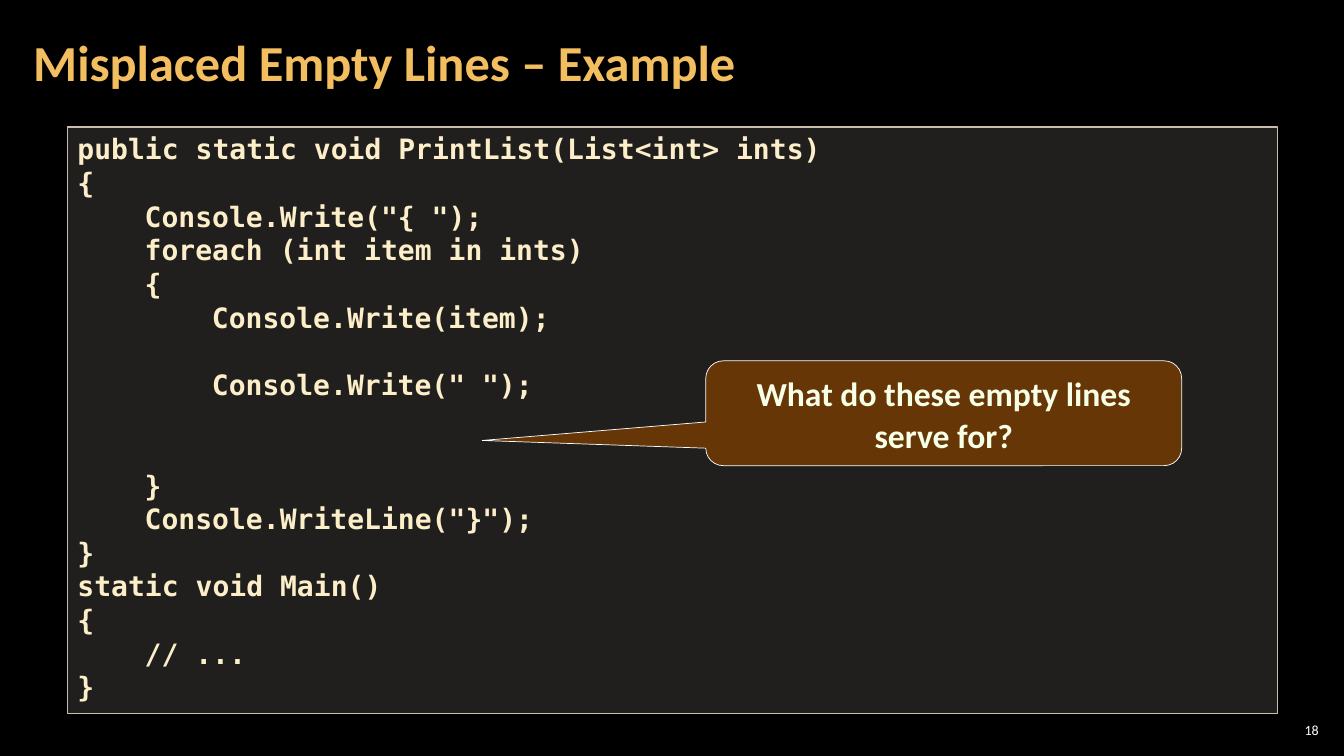
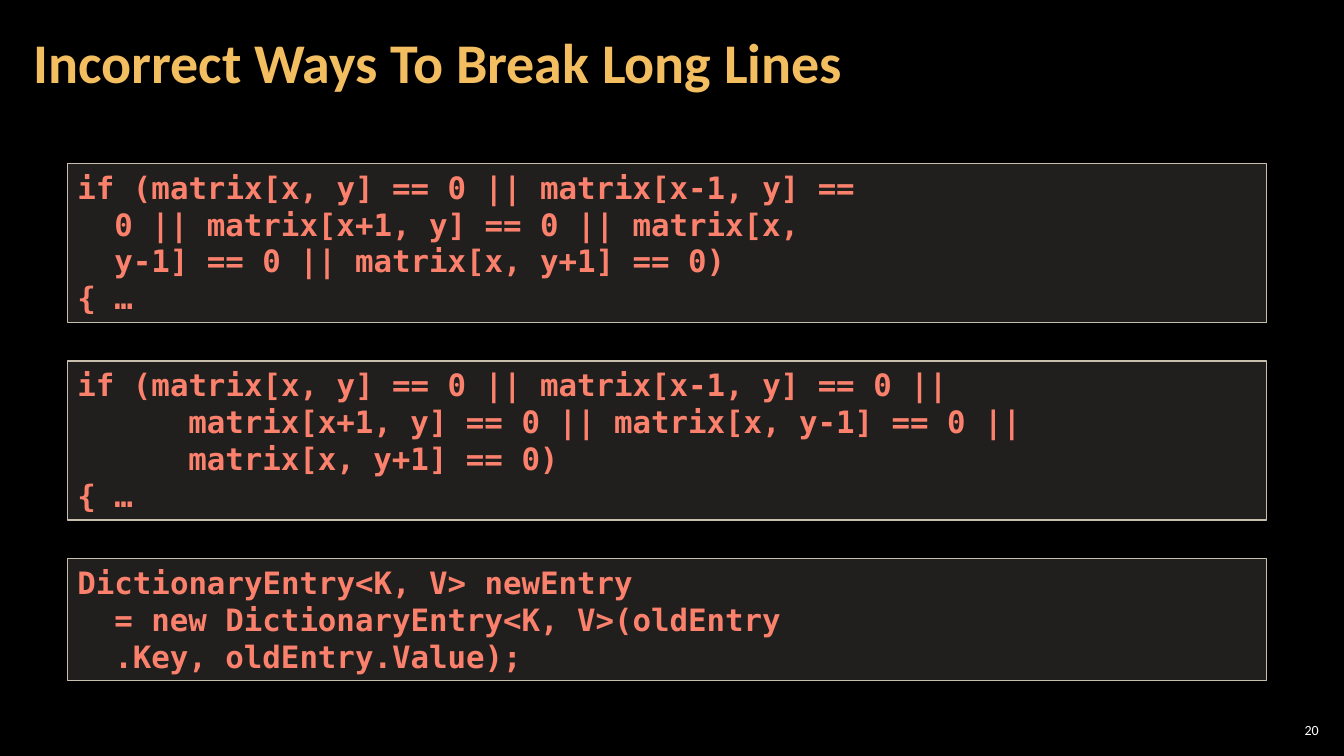
from lxml import etree
from pptx import Presentation
from pptx.dml.color import RGBColor
from pptx.enum.shapes import MSO_SHAPE
from pptx.enum.text import MSO_ANCHOR, PP_ALIGN
from pptx.oxml.ns import qn
from pptx.util import Inches, Pt

RECT = MSO_SHAPE.RECTANGLE
CALLOUT = MSO_SHAPE.ROUNDED_RECTANGULAR_CALLOUT
TOP, MIDDLE = MSO_ANCHOR.TOP, MSO_ANCHOR.MIDDLE
LEFT, CENTER, RIGHT = PP_ALIGN.LEFT, PP_ALIGN.CENTER, PP_ALIGN.RIGHT

COLORS = {
    "back": "000000",
    "title": "F3BE60",
    "white": "FFFFFF",
    "panel": "D9D5C7",
    "edge": "C7BFAC",
    "code": "FBEEC9",
    "wrong": "FB816D",
    "note": "663606",
    "notetext": "F7FFE7",
}
SANS, MONO = "Calibri", "DejaVu Sans Mono"
CHAR = 0.6  # width of a MONO letter, in ems
LINE = 1.2  # height of a MONO line, in ems

PRINT_LIST = """\
public static void PrintList(List<int> ints)
{
    Console.Write("{ ");
    foreach (int item in ints)
    {
        Console.Write(item);

        Console.Write(" ");


    }
    Console.WriteLine("}");
}
static void Main()
{
    // ...
}"""

BREAKS = [
    """\
if (matrix[x, y] == 0 || matrix[x-1, y] ==
  0 || matrix[x+1, y] == 0 || matrix[x,
  y-1] == 0 || matrix[x, y+1] == 0)
{ …""",
    """\
if (matrix[x, y] == 0 || matrix[x-1, y] == 0 ||
      matrix[x+1, y] == 0 || matrix[x, y-1] == 0 ||
      matrix[x, y+1] == 0)
{ …""",
    """\
DictionaryEntry<K, V> newEntry
  = new DictionaryEntry<K, V>(oldEntry
  .Key, oldEntry.Value);""",
]


def color(name):
    return RGBColor.from_string(COLORS[name])


class Deck:
    """Holds the style, the presentation and the current slide."""

    def __init__(self):
        self.prs = Presentation()
        self.prs.slide_width = Inches(13.33)
        self.prs.slide_height = Inches(7.5)
        self.slide = None

    def page(self, title, size, number):
        self.slide = self.prs.slides.add_slide(self.prs.slide_layouts[6])
        fill = self.slide.background.fill
        fill.solid()
        fill.fore_color.rgb = color("back")
        para = self.label(0.21, 0.04, 10.47, 1.21, 0.12)
        para.line_spacing = 0.9
        self.add_run(para, title, size, "title", bold=True)
        para = self.label(12.65, 7.14, 0.47, 0.21, 0.04)
        para.alignment = RIGHT
        self.add_run(para, str(number), 10, "white")

    def label(self, x, y, w, h, side):
        """Adds a text box and returns its first paragraph."""
        box = self.slide.shapes.add_textbox(
            Inches(x), Inches(y), Inches(w), Inches(h))
        frame = box.text_frame
        frame.word_wrap = True
        frame.vertical_anchor = MIDDLE
        frame.margin_left = frame.margin_right = Inches(side)
        frame.margin_top = frame.margin_bottom = Inches(0.04)
        return frame.paragraphs[0]

    def add_run(self, para, text, size, tint, font=SANS, bold=False):
        run = para.add_run()
        run.text = text
        run.font.size = Pt(size)
        run.font.name = font
        run.font.bold = bold
        run.font.color.rgb = color(tint)

    def shape(self, kind, x, y, w, h, fill, edge, width):
        shape = self.slide.shapes.add_shape(
            kind, Inches(x), Inches(y), Inches(w), Inches(h))
        shape.shadow.inherit = False
        shape.fill.solid()
        shape.fill.fore_color.rgb = color(fill)
        shape.line.color.rgb = color(edge)
        shape.line.width = Pt(width)
        shape.text_frame.word_wrap = True
        return shape

    def code(self, text, y, w, h, size, tint):
        """Draws a code panel; leading spaces become indents, empty lines gaps."""
        panel = self.shape(RECT, 0.67, y, w, h, "panel", "edge", 1)
        tone = panel.element.spPr.find(qn("a:solidFill"))[0]
        etree.SubElement(tone, qn("a:alpha"), val="15000")
        frame = panel.text_frame
        frame.vertical_anchor = TOP
        para, gap = frame.paragraphs[0], 0
        for row, line in enumerate(text.split("\n")):
            if not line:
                gap += 1
                continue
            if row:
                para = frame.add_paragraph()
            para.alignment = LEFT
            word = line.lstrip()
            depth = len(line) - len(word)
            props = para._p.get_or_add_pPr()
            props.set("marL", str(Pt(depth * CHAR * size)))
            props.set("indent", "0")
            if gap:
                para.space_before = Pt(gap * LINE * size)
            self.add_run(para, word, size, tint, MONO, True)
            gap = 0

    def note(self, text, x, y, w, h, tip):
        """Draws a callout whose tip is given as shares of its size."""
        shape = self.shape(CALLOUT, x, y, w, h, "note", "white", 0.5)
        shape.adjustments[0], shape.adjustments[1] = tip
        frame = shape.text_frame
        frame.vertical_anchor = MIDDLE
        para = frame.paragraphs[0]
        para.alignment = CENTER
        para.line_spacing = Pt(30)
        self.add_run(para, text, 24, "notetext", bold=True)


def main():
    deck = Deck()

    deck.page("Misplaced Empty Lines – Example", 36, 18)
    deck.code(PRINT_LIST, 1.26, 12, 5.82, 20, "code")
    deck.note("What do these empty lines serve for?",
              7, 3.58, 4.72, 1.04, (-0.97, 0.26))

    deck.page("Incorrect Ways To Break Long Lines", 40, 20)
    top = 1.62
    for text in BREAKS:
        height = 0.1 + 0.37 * len(text.split("\n"))
        deck.code(text, top, 11.89, height, 22, "wrong")
        top += height + 0.38

    deck.prs.save("out.pptx")


if __name__ == "__main__":
    main()
